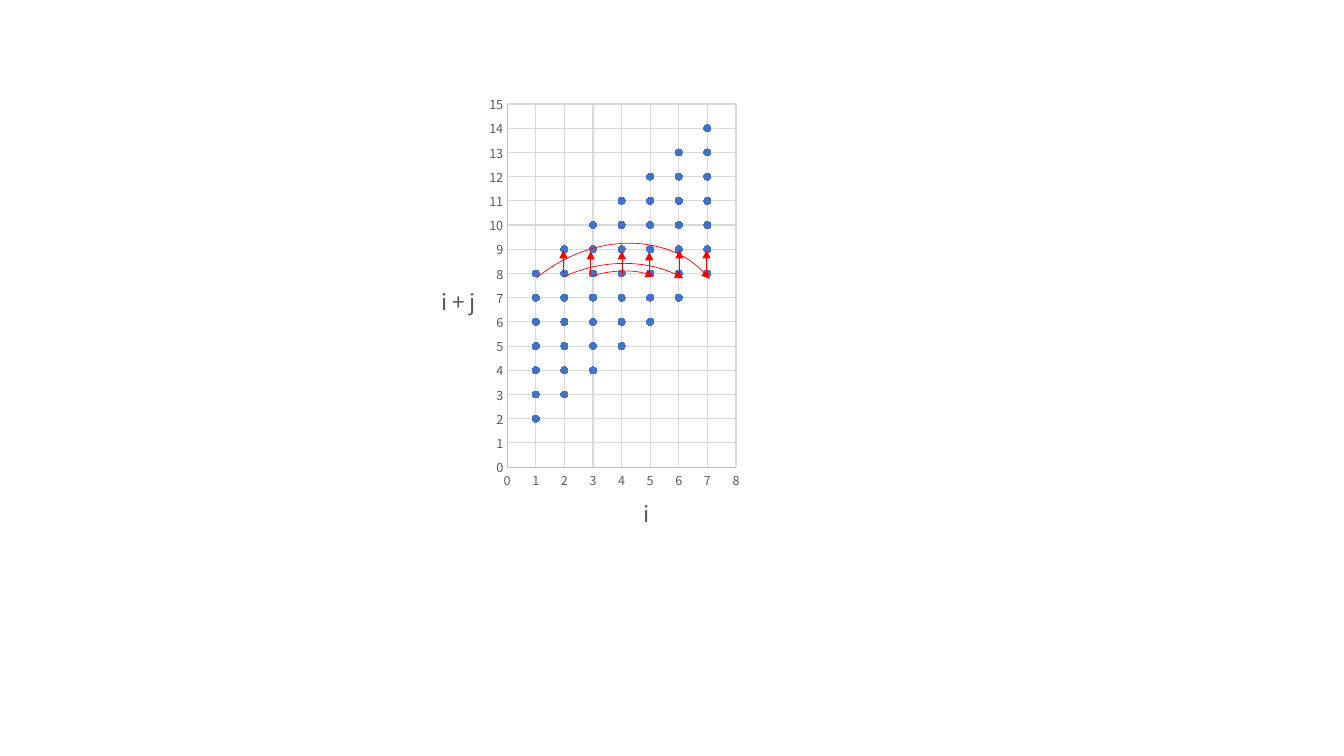
from lxml import etree
from pptx import Presentation
from pptx.chart.data import XyChartData
from pptx.dml.color import RGBColor
from pptx.enum.chart import XL_CHART_TYPE, XL_MARKER_STYLE, XL_TICK_MARK
from pptx.enum.shapes import MSO_CONNECTOR, MSO_SHAPE
from pptx.oxml.ns import qn
from pptx.util import Pt

SCATTER = XL_CHART_TYPE.XY_SCATTER
CIRCLE = XL_MARKER_STYLE.CIRCLE
NO_TICK = XL_TICK_MARK.NONE
ARC = MSO_SHAPE.ARC
STRAIGHT = MSO_CONNECTOR.STRAIGHT

BLUE = RGBColor(0x44, 0x72, 0xC4)
RED = RGBColor(0xFF, 0x00, 0x00)
LABEL_GRAY = RGBColor(0x59, 0x59, 0x59)
AXIS_GRAY = RGBColor(0xBF, 0xBF, 0xBF)
GRID_GRAY = RGBColor(0xD9, 0xD9, 0xD9)
FONT = "Noto Sans CJK SC"

INDICES = range(1, 8)
PAIR_ARCS = [
    ((337.7, 180.7, 190.8, 157.7), 320.8, (162, 0)),
    ((337, 192.2, 191.5, 162.7), 329.1, (167.24, 202.42)),
    ((373, 196.6, 113, 69.1), 340.7, (167.24, 202.42)),
]
STEP_ARROWS = [(402.5, 178.6), (421.9, 179.3), (444.2, 179.3),
               (463.7, 180), (485.3, 178.6), (504.7, 178.6)]
STEP_HEIGHT = 17.2


def format_text(font, *, size, color):
    """Apply the chart's typeface with a size and colour."""
    font.name = FONT
    font.size = Pt(size)
    font.bold = False
    font.color.rgb = color


def format_line(line, color, width):
    """Give a line its colour and width."""
    line.color.rgb = color
    line.width = Pt(width)


def place_in_chart(parent, index, **settings):
    """Set a manual layout on a chart part, in fractions of the chart."""
    layout = parent.find(qn("c:layout"))
    if layout is None:
        layout = etree.Element(qn("c:layout"))
        parent.insert(index, layout)
    manual = etree.SubElement(layout, qn("c:manualLayout"))
    for tag, value in settings.items():
        etree.SubElement(manual, qn(f"c:{tag}")).set("val", str(value))


def add_axis_title(axis, text, *, size, color, left, top):
    """Write a horizontal axis title at a fixed place."""
    title = axis.axis_title
    frame = title.text_frame
    frame.text = text
    format_text(frame.paragraphs[0].runs[0].font, size=size, color=color)
    body = frame._txBody.find(qn("a:bodyPr"))
    body.set("rot", "0")
    body.set("vert", "horz")
    place_in_chart(title._element, 1,
                   xMode="edge", yMode="edge", x=left, y=top)


def format_axis(axis, maximum):
    """Scale an axis from zero in unit steps and style its lines and labels."""
    axis.minimum_scale = 0
    axis.maximum_scale = maximum
    axis.major_unit = 1
    axis.major_tick_mark = NO_TICK
    axis.minor_tick_mark = NO_TICK
    axis.has_major_gridlines = True
    format_line(axis.major_gridlines.format.line, GRID_GRAY, 0.75)
    format_line(axis.format.line, AXIS_GRAY, 0.75)
    format_text(axis.tick_labels.font, size=9, color=LABEL_GRAY)


def add_sum_chart(slide):
    """Plot i + j against i for every pair of indices."""
    sums = XyChartData()
    points = sums.add_series("Series 1")
    for i in INDICES:
        for j in INDICES:
            points.add_data_point(i, i + j)
    chart = slide.shapes.add_chart(
        SCATTER, Pt(229), Pt(54.7), Pt(464.4), Pt(327.6), sums).chart
    chart.has_legend = False
    chart.has_title = False
    chart.font.name = FONT
    chart.font.size = Pt(10)
    chart.plots[0].vary_by_categories = False

    series = chart.plots[0].series[0]
    series.smooth = False
    series.format.line.fill.background()
    marker = series.marker
    marker.style = CIRCLE
    marker.size = 5
    marker.format.fill.solid()
    marker.format.fill.fore_color.rgb = BLUE
    format_line(marker.format.line, BLUE, 0.75)

    format_axis(chart.category_axis, 8)
    format_axis(chart.value_axis, 15)
    add_axis_title(chart.category_axis, "i", size=16, color=LABEL_GRAY,
                   left=0.49, top=0.92)
    add_axis_title(chart.value_axis, "i + j", size=16, color=LABEL_GRAY,
                   left=0.18, top=0.45)
    plot_area = chart._chartSpace.find(f".//{qn('c:plotArea')}")
    place_in_chart(plot_area, 0, layoutTarget="inner", xMode="edge",
                   yMode="edge", x=0.287, y=0.061, w=0.352, h=0.806)


def make_red_arrow(line):
    """Make a line thin and red with a triangle at its end."""
    format_line(line, RED, 0.5)
    tail = etree.SubElement(line._get_or_add_ln(), qn("a:tailEnd"))
    tail.set("type", "triangle")


def add_pair_arc(slide, box, rotation, angles):
    """Draw a rotated arc arrow between two points of the chart."""
    arc = slide.shapes.add_shape(ARC, *map(Pt, box))
    arc.rotation = rotation
    arc.adjustments[0], arc.adjustments[1] = angles
    arc.fill.background()
    arc.shadow.inherit = False
    make_red_arrow(arc.line)


def add_step_arrow(slide, x, top):
    """Draw an upward arrow one unit long."""
    arrow = slide.shapes.add_connector(
        STRAIGHT, Pt(x), Pt(top + STEP_HEIGHT), Pt(x), Pt(top))
    make_red_arrow(arrow.line)
    etree.SubElement(arrow._element.spPr, qn("a:effectLst"))


def main():
    """Build the slide and save it."""
    deck = Presentation()
    deck.slide_width = Pt(960)
    deck.slide_height = Pt(540)
    slide = deck.slides.add_slide(deck.slide_layouts[6])
    add_sum_chart(slide)
    for box, rotation, angles in PAIR_ARCS:
        add_pair_arc(slide, box, rotation, angles)
    for x, top in STEP_ARROWS:
        add_step_arrow(slide, x, top)
    deck.save("out.pptx")


if __name__ == "__main__":
    main()
